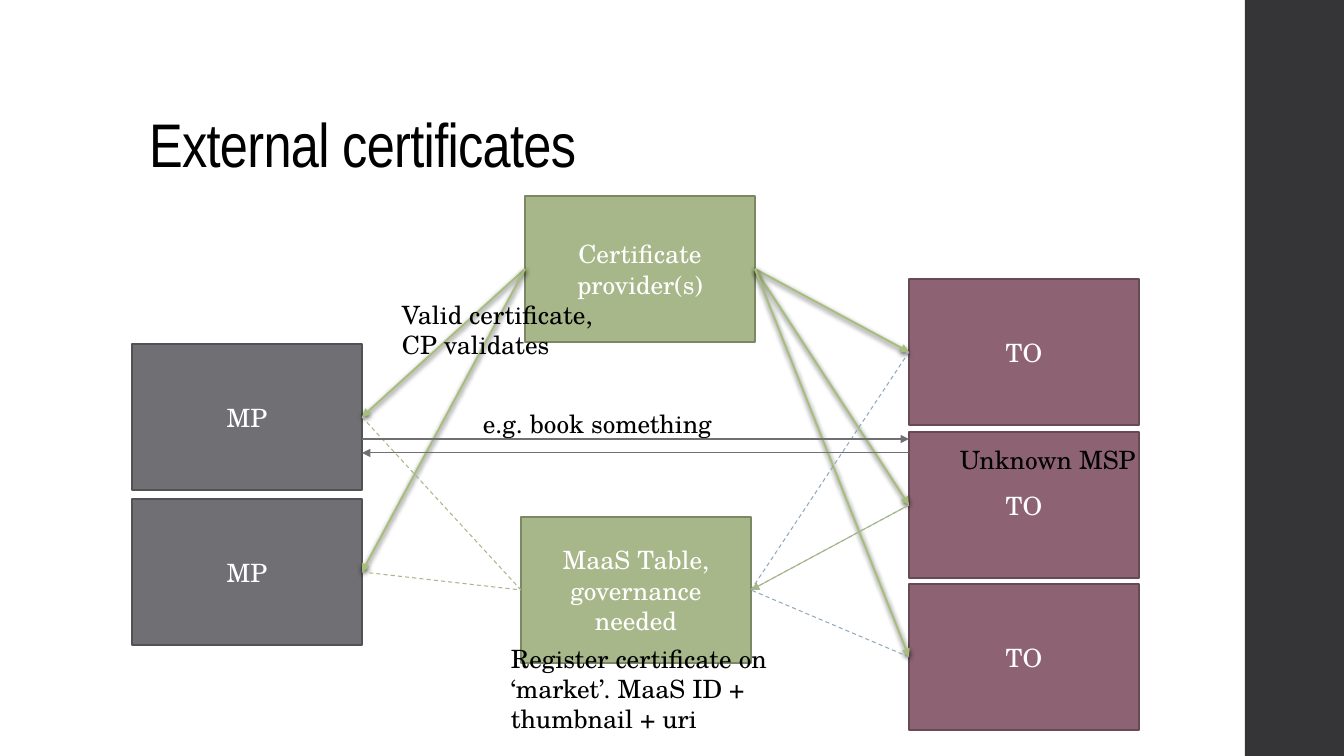
import pptx
import pptx.util
import pptx.dml.color
import pptx.enum.dml
import pptx.enum.shapes
import pptx.enum.text
import pptx.oxml
import pptx.oxml.ns

PX = 914400 / 100.8
BODY_FONT = "TeX Gyre Schola"
LEFT, RIGHT = 1, 3  # connection sites of a rectangle

# Content
TITLE = "External certificates"
BOX_W, BOX_H = 230, 146
STYLES = {  # fill, line
    "MP": ("6F6F74", "525256"),
    "TO": ("8D6374", "684956"),
    "hub": ("A7B789", "7C8765"),
}
BOXES = {  # text, style, left, top
    "mp1": ("MP", "MP", 132, 344),
    "mp2": ("MP", "MP", 132, 499),
    "to1": ("TO", "TO", 909, 279),
    "to2": ("TO", "TO", 909, 432),
    "to3": ("TO", "TO", 909, 584),
    "provider": ("Certificate provider(s)", "hub", 525, 196),
    "table": ("MaaS Table, governance needed", "hub", 521, 517),
}
VALIDATIONS = ["mp1", "mp2", "to1", "to2", "to3"]
REGISTRATIONS = [("to3", "92A9B9"), ("mp1", "A7B789"), ("mp2", "A7B789"),
                 ("to2", "92A9B9"), ("to1", "92A9B9")]
LABELS = [  # text, left, top, width, height
    ("Valid certificate, CP validates", 392, 294, 230, 72),
    ("Register certificate on ‘market’. MaaS ID + thumbnail + uri", 501, 638, 287, 102),
    ("e.g. book something", 473, 403, 334, 40),
    ("Unknown MSP", 950, 439, 230, 40),
]
SHADOW = ('<a:effectLst %s><a:outerShdw blurRad="50800" dist="15240" dir="5400000" '
          'rotWithShape="0"><a:srgbClr val="000000"><a:alpha val="75000"/></a:srgbClr>'
          '</a:outerShdw></a:effectLst>' % pptx.oxml.ns.nsdecls("a"))


def px(*lengths):
    return [pptx.util.Emu(round(n * PX)) for n in lengths]


def rgb(value):
    return pptx.dml.color.RGBColor.from_string(value)


def set_text(tf, text, color, size=18, font=BODY_FONT, align="LEFT", anchor="TOP"):
    tf.word_wrap = True
    tf.vertical_anchor = pptx.enum.text.MSO_ANCHOR[anchor]
    tf.text = text
    p = tf.paragraphs[0]
    p.alignment = pptx.enum.text.PP_ALIGN[align]
    p.font.size = pptx.util.Pt(size)
    p.font.name = font
    p.font.color.rgb = rgb(color)
    return p


def add_box(left, top, width, height, fill, line=None):
    sp = slide.shapes.add_shape(pptx.enum.shapes.MSO_SHAPE.RECTANGLE,
                                *px(left, top, width, height))
    sp.shadow.inherit = False
    sp.fill.solid()
    sp.fill.fore_color.rgb = rgb(fill)
    if line:
        sp.line.color.rgb = rgb(line)
        sp.line.width = pptx.util.Pt(1.1)
    else:
        sp.line.fill.background()
    return sp


def add_line(color, width=0.75, ends=(0, 0, 0, 0), dashed=False, arrow=True, glow=False):
    cxn = slide.shapes.add_connector(pptx.enum.shapes.MSO_CONNECTOR.STRAIGHT, *px(*ends))
    cxn.line.color.rgb = rgb(color)
    cxn.line.width = pptx.util.Pt(width)
    if dashed:
        cxn.line.dash_style = pptx.enum.dml.MSO_LINE.DASH
    ln = cxn.line._get_or_add_ln()
    if arrow:
        pptx.oxml.ns.qn("a:tailEnd")
        ln.append(pptx.oxml.parse_xml('<a:tailEnd %s type="triangle"/>'
                                      % pptx.oxml.ns.nsdecls("a")))
    empty = "<a:effectLst %s/>" % pptx.oxml.ns.nsdecls("a")
    ln.getparent().append(pptx.oxml.parse_xml(SHADOW if glow else empty))
    return cxn


def link(start, end, color, **options):
    """Glue a line to the facing sides of two boxes."""
    rightward = boxes[start].left < boxes[end].left
    cxn = add_line(color, **options)
    cxn.begin_connect(boxes[start], RIGHT if rightward else LEFT)
    cxn.end_connect(boxes[end], LEFT if rightward else RIGHT)


prs = pptx.Presentation()
prs.slide_width, prs.slide_height = px(1344, 756)
slide = prs.slides.add_slide(prs.slide_layouts[5])

# Side band and title
add_box(1245, 0, 99, 756, "353537")
title = slide.shapes.title
title.left, title.top, title.width, title.height = px(139, 40, 1068, 146)
p = set_text(title.text_frame, TITLE, "000000", 44, "Arial Narrow", anchor="BOTTOM")
title.text_frame.auto_size = pptx.enum.text.MSO_AUTO_SIZE.NONE
p.line_spacing = 0.9
p.runs[0].font._element.set("spc", "-50")

# Parties
boxes = {}
for name, (text, style, left, top) in BOXES.items():
    boxes[name] = add_box(left, top, BOX_W, BOX_H, *STYLES[style])
    set_text(boxes[name].text_frame, text, "FFFFFF", align="CENTER", anchor="MIDDLE")

# Certificate validation, registration and booking
for party in VALIDATIONS:
    link("provider", party, "A7BE7B", width=1.35, glow=True)
for party, color in REGISTRATIONS:
    link(party, "table", color, dashed=True, arrow=False)
link("to2", "table", "A7B789")
mp_edge, to_edge = 132 + BOX_W, 909
add_line("6F6F74", ends=(mp_edge, 439, to_edge, 439))
add_line("6F6F74", ends=(to_edge, 453, mp_edge, 453))

# Labels
for text, *frame in LABELS:
    tf = slide.shapes.add_textbox(*px(*frame)).text_frame
    set_text(tf, text, "000000")
    tf.auto_size = pptx.enum.text.MSO_AUTO_SIZE.SHAPE_TO_FIT_TEXT

prs.save("out.pptx")
